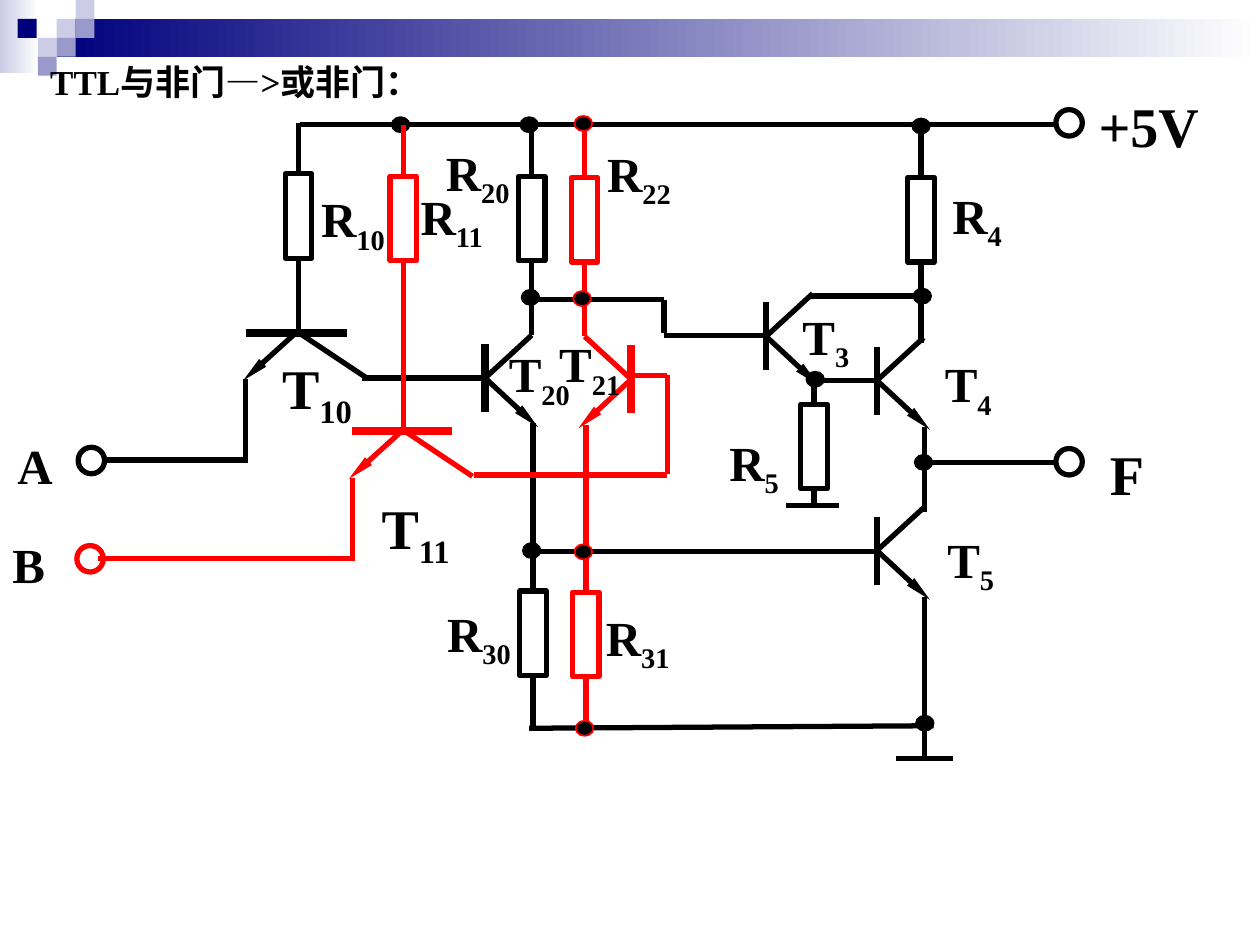
from pptx import Presentation
from pptx.dml.color import RGBColor
from pptx.enum.shapes import MSO_CONNECTOR, MSO_SHAPE
from pptx.enum.text import MSO_ANCHOR, PP_ALIGN
from pptx.oxml.ns import qn
from pptx.util import Inches, Pt
from lxml import etree

RECT, OVAL = MSO_SHAPE.RECTANGLE, MSO_SHAPE.OVAL
STRAIGHT = MSO_CONNECTOR.STRAIGHT
MIDDLE, CENTER = MSO_ANCHOR.MIDDLE, PP_ALIGN.CENTER
BLACK, RED, WHITE = "000000", "FF0000", "FFFFFF"
NAVY, LILAC, MAUVE = "00007D", "CCCCE6", "9999CC"


def rgb(code):
    return RGBColor.from_string(code)


class Board:
    font = "Times New Roman"
    thin, thick = 3, 4.5

    def __init__(self, slide):
        self.shapes = slide.shapes

    def shape(self, kind, x, y, w, h, fill=None, line=None, width=thin):
        item = self.shapes.add_shape(kind, Inches(x), Inches(y), Inches(w), Inches(h))
        item.shadow.inherit = False
        if fill:
            item.fill.solid()
            item.fill.fore_color.rgb = rgb(fill)
        else:
            item.fill.background()
        if line:
            item.line.color.rgb = rgb(line)
            item.line.width = Pt(width)
        else:
            item.line.fill.background()
        return item

    def fade(self, x, y, w, h, start):
        item = self.shape(RECT, x, y, w, h)
        item.fill.gradient()
        item.fill.gradient_angle = 0
        for stop, code in zip(item.fill.gradient_stops, (start, WHITE)):
            stop.color.rgb = rgb(code)

    def wire(self, x1, y1, x2, y2, color=BLACK, width=thin, arrow=False):
        item = self.shapes.add_connector(
            STRAIGHT, Inches(x1), Inches(y1), Inches(x2), Inches(y2))
        item.line.color.rgb = rgb(color)
        item.line.width = Pt(width)
        props = item._element.spPr
        if arrow:
            etree.SubElement(props.find(qn("a:ln")), qn("a:tailEnd"),
                             type="triangle", w="sm", len="lg")
        etree.SubElement(props, qn("a:effectLst"))
        return item

    def resist(self, x, y, top, low, color=BLACK):
        """Resistor centred on x, with leads up to top and down to low."""
        w, h = 0.21, 0.67
        body = self.shape(RECT, x - w / 2, y, w, h, line=color)
        self.wire(x, top, x, y, color).end_connect(body, 0)
        self.wire(x, y + h, x, low, color).begin_connect(body, 2)

    def trans(self, x, y, color=BLACK, width=thin, side=1):
        """Transistor with an upright base bar; side -1 mirrors it."""
        self.wire(x, y - 0.27, x, y + 0.27, color, width)
        self.wire(x, y, x + side * 0.42, y + 0.39, color, arrow=True)
        self.wire(x, y, x + side * 0.37, y - 0.34, color)

    def input(self, x, y, color=BLACK):
        """Input transistor with a level base bar."""
        self.wire(x - 0.42, y, x + 0.38, y, color, self.thick)
        self.wire(x - 0.02, y, x - 0.44, y + 0.38, color, arrow=True)
        self.wire(x, y, x + 0.54, y + 0.36, color)

    def dot(self, x, y, line=BLACK):
        self.shape(OVAL, x - 0.07, y - 0.06, 0.14, 0.12, BLACK, line, 1)

    def port(self, x, y, color=BLACK):
        self.shape(OVAL, x, y, 0.21, 0.21, line=color)

    def text(self, x, y, w, h, words, sub="", size=28):
        box = self.shapes.add_textbox(Inches(x), Inches(y), Inches(w), Inches(h))
        box.text_frame.word_wrap = True
        para = box.text_frame.paragraphs[0]
        para.add_run().text = words
        if sub:
            run = para.add_run()
            run.text = sub
            run._r.get_or_add_rPr().set("baseline", "-25000")
        font = para.font
        font.name, font.size, font.bold = self.font, Pt(size), True
        font.color.rgb = rgb(BLACK)
        return box


def main():
    deck = Presentation()
    deck.slide_width, deck.slide_height = Inches(10), Inches(7.5)
    board = Board(deck.slides.add_slide(deck.slide_layouts[6]))

    # Header band and squares
    board.fade(0, 0, 0.31, 0.58, LILAC)
    board.fade(0.45, 0.15, 9.55, 0.3, NAVY)
    for x, y, color in [(0.45, 0.15, LILAC), (0.6, 0, LILAC), (0.6, 0.15, MAUVE),
                        (0.3, 0.3, LILAC), (0.14, 0.15, NAVY),
                        (0.45, 0.3, MAUVE), (0.3, 0.45, MAUVE)]:
        board.shape(RECT, x, y, 0.15, 0.15, color)

    # Black wires
    for ends in [
        (2.38, 0.99, 8.39, 0.99), (2.87, 3, 3.85, 3),
        (4.23, 2.38, 5.27, 2.38), (5.27, 2.38, 5.27, 2.64),
        (6.08, 2.66, 5.27, 2.66), (6.44, 2.35, 7.31, 2.35),
        (6.44, 3.02, 6.96, 3.02), (6.24, 4.01, 6.66, 4.01),
        (6.95, 4.38, 4.26, 4.38), (4.2, 5.78, 7.41, 5.76),
        (7.34, 3.39, 7.34, 4.06), (7.34, 4.74, 7.34, 6.02),
        (7.11, 6.02, 7.56, 6.02), (7.34, 3.67, 8.38, 3.67),
        (1.95, 3.01, 1.95, 3.67), (1.97, 3.65, 0.84, 3.65),
    ]:
        board.wire(*ends)

    # Black resistors and transistors
    for spot in [(2.37, 1.38, 0.98, 2.64), (4.22, 1.4, 0.98, 2.66),
                 (7.31, 1.41, 0.99, 2.72), (6.46, 3.21, 3.01, 4.02),
                 (4.23, 4.69, 3.36, 5.8)]:
        board.resist(*spot)
    board.input(2.37, 2.64)
    board.trans(3.85, 3, width=board.thick)
    for x, y in [(6.08, 2.67), (6.96, 3.02), (6.96, 4.37)]:
        board.trans(x, y)

    # Red branch
    board.trans(5.01, 3.01, RED, board.thick, -1)
    board.resist(4.64, 1.41, 0.99, 2.67, RED)
    board.resist(4.65, 4.7, 3.37, 5.81, RED)
    board.input(3.21, 3.42, RED)
    for ends in [(2.82, 4.43, 0.78, 4.43), (2.8, 3.79, 2.8, 4.45),
                 (5.03, 2.98, 5.29, 2.98), (5.3, 2.98, 5.3, 3.76),
                 (3.76, 3.77, 5.29, 3.77)]:
        board.wire(*ends, RED)

    # Terminals
    for x, y in [(8.38, 0.87), (8.38, 3.56), (0.62, 3.55)]:
        board.port(x, y)
    board.port(0.61, 4.33, RED)

    # Junctions
    for x, y in [(3.18, 0.99), (4.2, 0.99), (7.31, 1), (4.21, 2.36), (7.32, 2.35),
                 (6.47, 3.01), (7.33, 3.67), (4.22, 4.37), (7.34, 5.74)]:
        board.dot(x, y)
    for x, y in [(4.63, 0.98), (4.62, 2.37), (4.63, 4.38), (4.64, 5.78)]:
        board.dot(x, y, RED)
    board.resist(3.2, 1.4, 0.99, 3.42, RED)

    # Labels
    for x, y, w, name, sub in [
        (7.46, 1.42, 1.15, "R", "4"), (4.72, 1.09, 1.15, "R", "22"),
        (2.45, 1.45, 1.15, "R", "10"), (3.24, 1.43, 1.15, "R", "11"),
        (3.44, 1.08, 1.15, "R", "20"), (5.69, 3.38, 0.69, "R", "5"),
        (3.45, 4.74, 1.12, "R", "30"), (4.71, 4.77, 1.12, "R", "31"),
        (3.94, 2.68, 0.83, "T", "20"), (4.34, 2.6, 1, "T", "21"),
        (6.27, 2.38, 1.08, "T", "3"), (7.4, 2.76, 0.73, "T", "4"),
        (7.42, 4.15, 0.73, "T", "5"),
        (0.04, 3.41, 0.77, "A", ""), (0, 4.19, 0.77, "B", ""),
    ]:
        board.text(x, y, w, 0.57, name, sub)
    for x, y, w, name, sub in [
        (8.62, 0.68, 1.38, "+5V", ""), (8.71, 3.44, 0.81, "F", ""),
        (2.14, 2.76, 0.79, "T", "10"), (2.93, 3.87, 0.79, "T", "11"),
    ]:
        board.text(x, y, w, 0.63, name, sub, 32)

    # Title
    title = board.text(0.3, 0.43, 3.14, 0.44, "TTL与非门—>或非门：", size=20).text_frame
    title.word_wrap = False
    title.vertical_anchor = MIDDLE
    title.paragraphs[0].alignment = CENTER

    deck.save("out.pptx")


if __name__ == "__main__":
    main()
